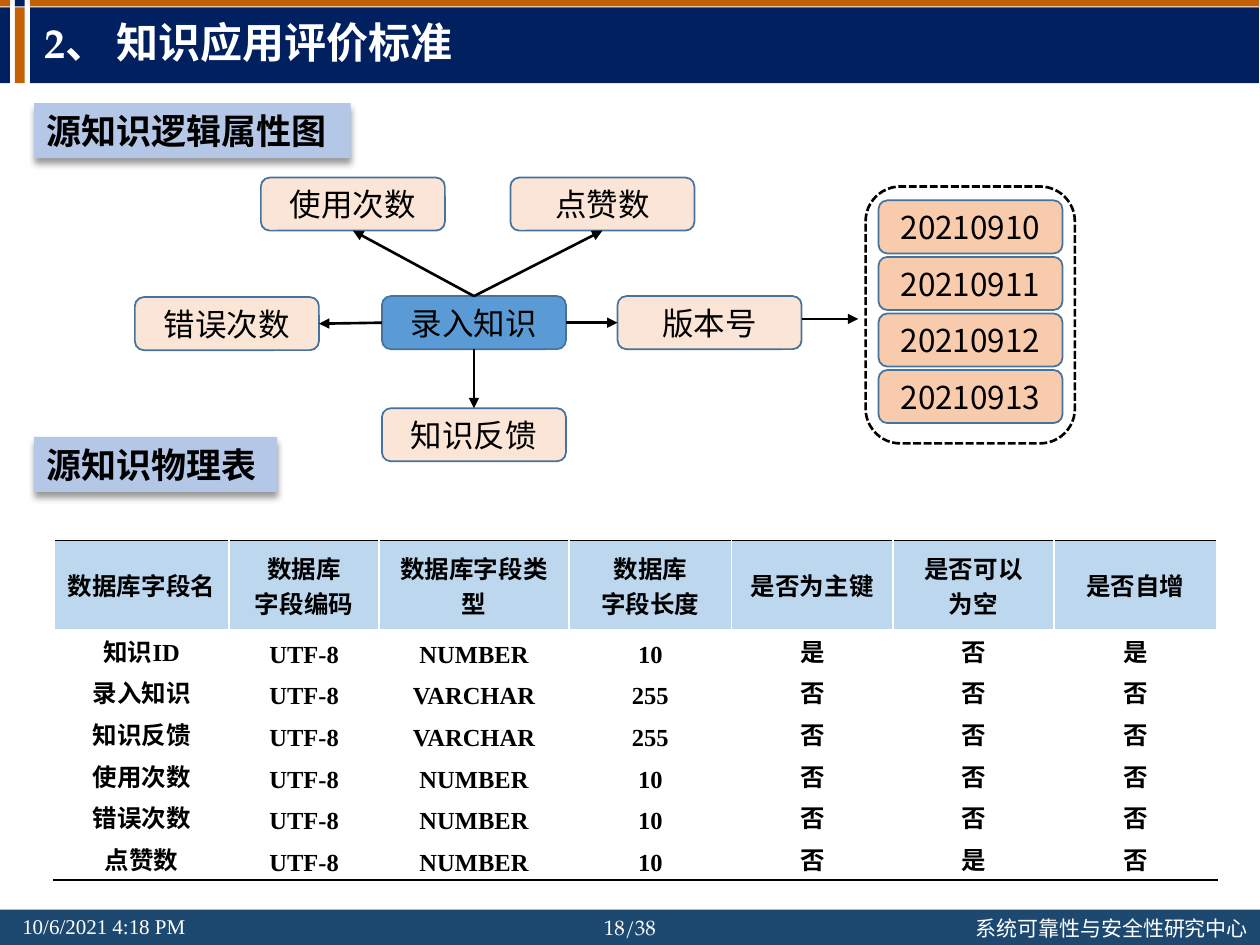
"""Build the slide on knowledge application evaluation criteria."""
import pptx
import pptx.dml.color
import pptx.enum.dml
import pptx.enum.shapes
import pptx.enum.text
import pptx.oxml
import pptx.oxml.ns
import pptx.util

Cm = pptx.util.Cm
Pt = pptx.util.Pt
SHAPE = pptx.enum.shapes.MSO_SHAPE
ALIGN = pptx.enum.text.PP_ALIGN
ANCHOR = pptx.enum.text.MSO_ANCHOR
NAMESPACE = pptx.oxml.ns.nsdecls("a")

SANS = "Noto Sans CJK SC"
SERIF = "Times New Roman"
PALLADIO = "TeX Gyre Pagella"
COLORS = {
    "navy": "002060", "orange": "C16007", "footer": "1D4971",
    "white": "FFFFFF", "black": "000000", "label": "B4C7E7",
    "header": "BDD7EE", "center": "5B9BD5", "attribute": "FBE5D6",
    "version": "F8CBAD", "outline": "43739E",
}
NODE_WIDTH, NODE_HEIGHT = 3.71, 1.07
TOP, LEFT, BOTTOM, RIGHT = range(4)
ATTRIBUTES = [
    ("使用次数", 5.26, 3.58, TOP, BOTTOM),
    ("点赞数", 10.29, 3.58, TOP, BOTTOM),
    ("错误次数", 2.72, 5.99, LEFT, RIGHT),
    ("版本号", 12.45, 5.97, RIGHT, LEFT),
    ("知识反馈", 7.7, 8.23, BOTTOM, TOP),
]
VERSIONS = ["20210910", "20210911", "20210912", "20210913"]
COLUMN_WIDTHS = [3.53, 3.02, 3.83, 3.28, 3.25, 3.25, 3.28]
ROWS = [
    ["数据库字段名", "数据库\n字段编码", "数据库字段类型", "数据库\n字段长度",
     "是否为主键", "是否可以\n为空", "是否自增"],
    ["知识ID", "UTF-8", "NUMBER", "10", "是", "否", "是"],
    ["录入知识", "UTF-8", "VARCHAR", "255", "否", "否", "否"],
    ["知识反馈", "UTF-8", "VARCHAR", "255", "否", "否", "否"],
    ["使用次数", "UTF-8", "NUMBER", "10", "否", "否", "否"],
    ["错误次数", "UTF-8", "NUMBER", "10", "否", "否", "否"],
    ["点赞数", "UTF-8", "NUMBER", "10", "否", "是", "否"],
]


def rgb(name):
    """Return the named palette colour."""
    return pptx.dml.color.RGBColor.from_string(COLORS[name])


def write(paragraph, text, size, font, color="black", bold=False, align=ALIGN.LEFT):
    """Add one formatted run to a paragraph."""
    paragraph.alignment = align
    run = paragraph.add_run()
    run.text = text
    run.font.size = Pt(size)
    run.font.name = font
    run.font.bold = bold
    run.font.color.rgb = rgb(color)
    run.font._element.append(
        pptx.oxml.parse_xml(f'<a:ea {NAMESPACE} typeface="{SANS}"/>'))


def add_box(slide, kind, left, top, width, height, fill=None, line=None, weight=1):
    """Add a preset shape with a plain fill and outline."""
    shape = slide.shapes.add_shape(kind, Cm(left), Cm(top), Cm(width), Cm(height))
    shape.shadow.inherit = False
    if fill:
        shape.fill.solid()
        shape.fill.fore_color.rgb = rgb(fill)
    else:
        shape.fill.background()
    if line:
        shape.line.color.rgb = rgb(line)
        shape.line.width = Pt(weight)
    else:
        shape.line.fill.background()
    return shape


def add_text(slide, left, top, width, height, text, size, font, wrap=False, **style):
    """Add a white text box and return it."""
    box = slide.shapes.add_textbox(Cm(left), Cm(top), Cm(width), Cm(height))
    box.text_frame.word_wrap = wrap
    write(box.text_frame.paragraphs[0], text, size, font, "white", **style)
    return box


def add_node(slide, text, left, top, fill):
    """Add a rounded diagram node."""
    node = add_box(slide, SHAPE.ROUNDED_RECTANGLE, left, top,
                   NODE_WIDTH, NODE_HEIGHT, fill, "outline")
    node.text_frame.vertical_anchor = ANCHOR.MIDDLE
    write(node.text_frame.paragraphs[0], text, 18, SANS, align=ALIGN.CENTER)
    return node


def add_arrow(slide, start_x=0, start_y=0, end_x=0, end_y=0):
    """Add a straight black arrow."""
    arrow = slide.shapes.add_connector(
        pptx.enum.shapes.MSO_CONNECTOR.STRAIGHT,
        Cm(start_x), Cm(start_y), Cm(end_x), Cm(end_y))
    arrow.line.color.rgb = rgb("black")
    arrow.line.width = Pt(1.5)
    arrow.line._get_or_add_ln().append(
        pptx.oxml.parse_xml(f'<a:tailEnd {NAMESPACE} type="triangle"/>'))
    arrow._element.spPr.append(pptx.oxml.parse_xml(f"<a:effectLst {NAMESPACE}/>"))
    return arrow


def add_label(slide, text, top, width):
    """Add a section label with a soft shadow below it."""
    label = add_box(slide, SHAPE.RECTANGLE, 0.69, top, width, 1.11, "label")
    effects = label._element.spPr.find(pptx.oxml.ns.qn("a:effectLst"))
    effects.append(pptx.oxml.parse_xml(
        f'<a:outerShdw {NAMESPACE} blurRad="{Pt(4)}" dist="{Pt(3)}" dir="5400000" '
        f'algn="t" rotWithShape="0"><a:srgbClr val="{COLORS["black"]}">'
        '<a:alpha val="40000"/></a:srgbClr></a:outerShdw>'))
    label.text_frame.vertical_anchor = ANCHOR.TOP
    write(label.text_frame.paragraphs[0], text, 20, SERIF, bold=True)


def add_frame(slide):
    """Add the title band, its stripes and the footer."""
    for left, width, band, strip in [
            (0.61, 24.77, "navy", "orange"),
            (0.3, 0.2, "orange", "navy"),
            (0, 0.2, "navy", "orange")]:
        add_box(slide, SHAPE.RECTANGLE, left, 0.15, width, 1.53, band)
        add_box(slide, SHAPE.RECTANGLE, left, 0, width, 0.13, strip)
    add_box(slide, SHAPE.RECTANGLE, 0, 18.34, 25.4, 0.71, "footer")
    add_text(slide, 0.2, 18.29, 4.14, 0.76, "10/6/2021 4:18 PM", 12, SERIF)
    add_text(slide, 19.41, 18.34, 6.1, 0.76, "系统可靠性与安全性研究中心", 12, SANS)
    add_text(slide, 11.81, 18.31, 1.78, 0.76, "18/38", 12, PALLADIO,
             wrap=True, align=ALIGN.CENTER)
    title = add_text(slide, 0.64, 0.15, 22.53, 1.53, "2、 知识应用评价标准", 24,
                     PALLADIO, wrap=True, bold=True)
    title.text_frame.vertical_anchor = ANCHOR.MIDDLE
    title.text_frame.paragraphs[0].line_spacing = 0.9


def add_diagram(slide):
    """Add the attribute diagram and the list of versions."""
    center = add_node(slide, "录入知识", 7.7, 5.97, "center")
    for text, left, top, start, end in ATTRIBUTES:
        node = add_node(slide, text, left, top, "attribute")
        arrow = add_arrow(slide)
        arrow.begin_connect(center, start)
        arrow.end_connect(node, end)
    for index, version in enumerate(VERSIONS):
        add_node(slide, version, 17.71, 4.04 + 1.14 * index, "version")
    add_arrow(slide, 16.16, 6.43, 17.3, 6.43)
    group = add_box(slide, SHAPE.ROUNDED_RECTANGLE, 17.45, 3.76, 4.22, 5.18,
                    line="black", weight=1.5)
    group.line.dash_style = pptx.enum.dml.MSO_LINE.SQUARE_DOT


def set_borders(cell, top, bottom):
    """Draw the four borders of a cell, the sides in white."""
    properties = cell._tc.get_or_add_tcPr()
    for side, color in zip("LRTB", ("white", "white", top, bottom)):
        properties.append(pptx.oxml.parse_xml(
            f'<a:ln{side} {NAMESPACE} w="{Pt(1)}"><a:solidFill>'
            f'<a:srgbClr val="{COLORS[color]}"/></a:solidFill></a:ln{side}>'))


def fill_cell(cell, text, row_index):
    """Format one table cell and write its lines."""
    is_header = row_index == 0
    is_last = row_index == len(ROWS) - 1
    set_borders(cell, "black" if is_header else "white",
                "black" if is_last else "white")
    if is_header:
        cell.fill.solid()
        cell.fill.fore_color.rgb = rgb("header")
    else:
        cell.fill.background()
    cell.margin_left = cell.margin_right = Cm(0.19)
    cell.margin_top = cell.margin_bottom = 0
    cell.vertical_anchor = ANCHOR.MIDDLE
    for index, line in enumerate(text.split("\n")):
        frame = cell.text_frame
        paragraph = frame.add_paragraph() if index else frame.paragraphs[0]
        paragraph.line_spacing = Pt(20)
        write(paragraph, line, 14, SANS if is_header else SERIF,
              bold=True, align=ALIGN.CENTER)


def add_field_table(slide):
    """Add the table of database fields."""
    table = slide.shapes.add_table(
        len(ROWS), len(COLUMN_WIDTHS), Cm(1.09), Cm(10.9),
        Cm(sum(COLUMN_WIDTHS)), Cm(6.84)).table
    table.first_row = table.horz_banding = False
    for column, width in zip(table.columns, COLUMN_WIDTHS):
        column.width = Cm(width)
    for row_index, texts in enumerate(ROWS):
        table.rows[row_index].height = Cm(0.84 if row_index else 1.8)
        for column_index, text in enumerate(texts):
            fill_cell(table.cell(row_index, column_index), text, row_index)


def main():
    """Build and save the presentation."""
    presentation = pptx.Presentation()
    presentation.slide_width = Cm(25.4)
    presentation.slide_height = Cm(19.05)
    slide = presentation.slides.add_slide(presentation.slide_layouts[6])
    add_frame(slide)
    add_field_table(slide)
    add_diagram(slide)
    add_label(slide, "源知识逻辑属性图", 2.08, 6.38)
    add_label(slide, "源知识物理表", 8.81, 4.9)
    presentation.save("out.pptx")


if __name__ == "__main__":
    main()
